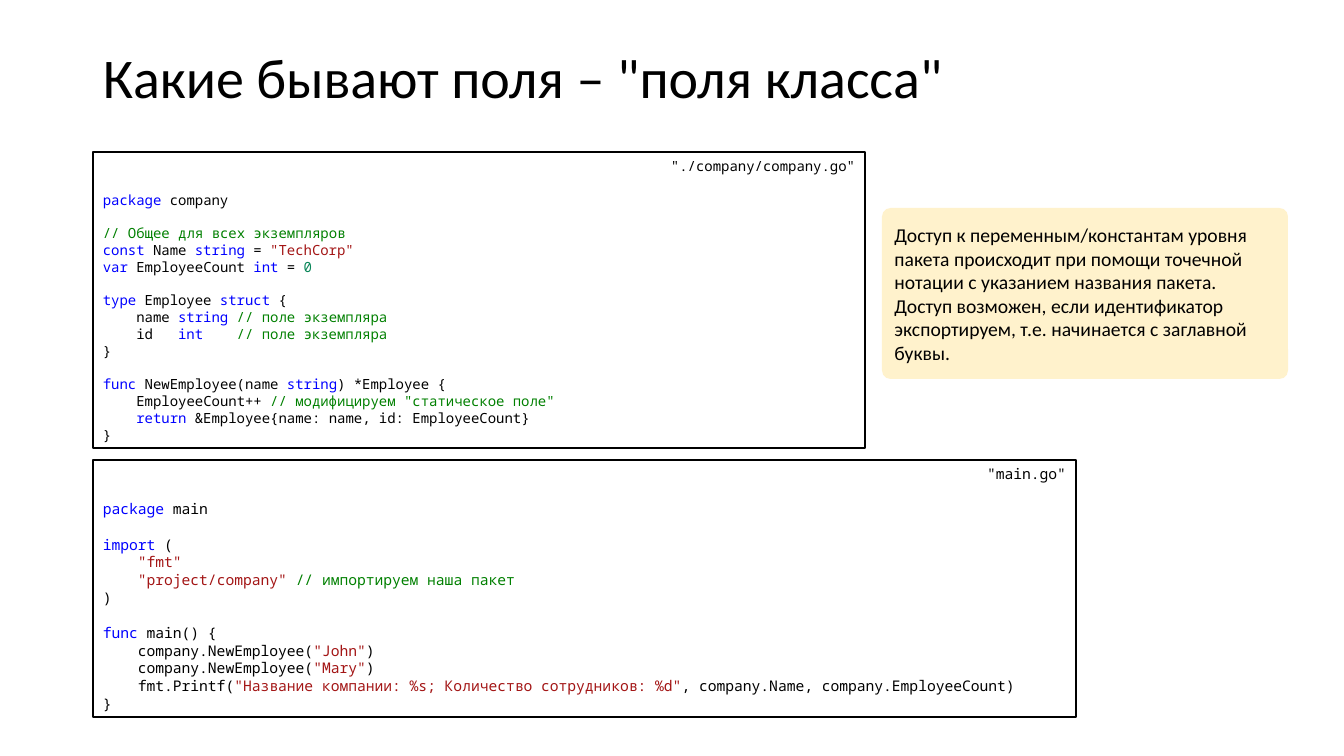
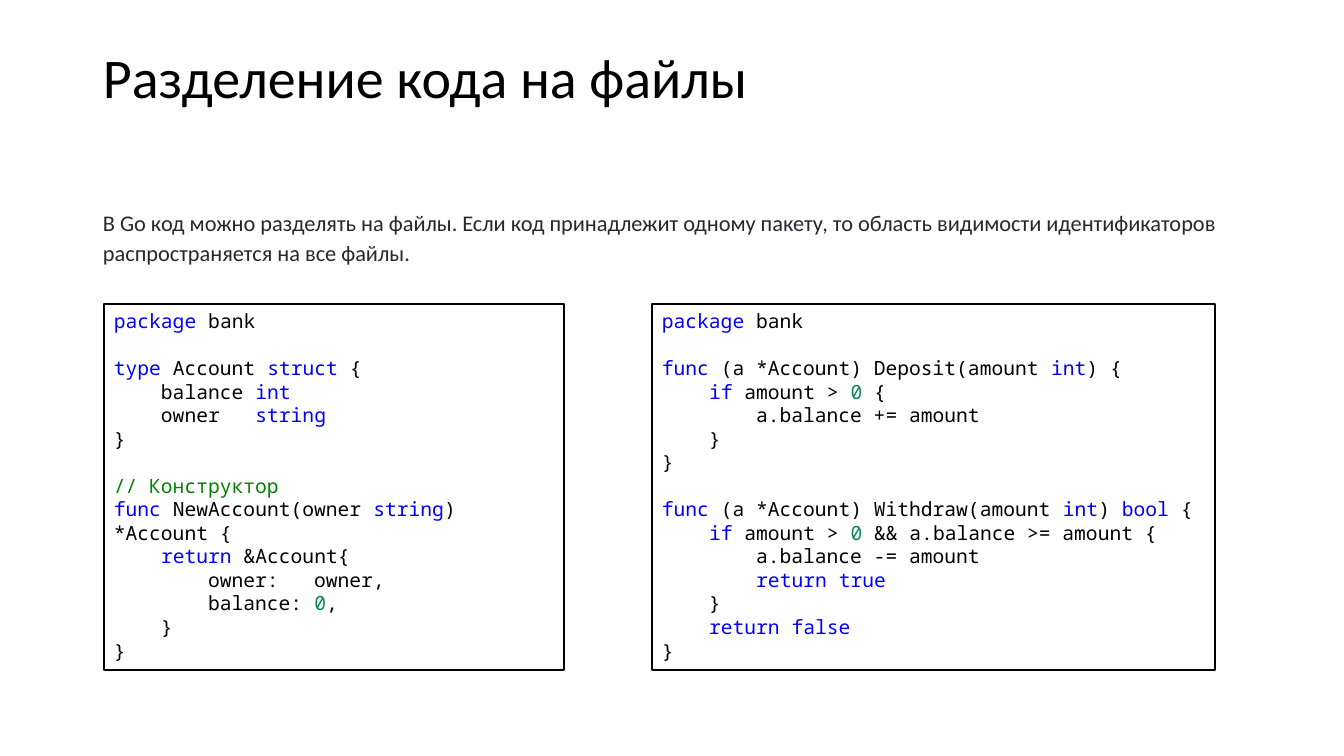
import itertools
import pptx
import pptx.dml.color
import pptx.enum.shapes
import pptx.enum.text
import pptx.util

EMU_PER_PX = 914400 / 100.8
BODY_FONT = "Calibri"
CODE_FONT = "Noto Sans Mono"
CODE_LINE_HEIGHT = 1.2
BLACK = "000000"
WHITE = "FFFFFF"
BODY_COLOR = "24292F"
NOTE_FILL = "FFF2CC"
KEYWORD_COLOR = "0000FF"
STRING_COLOR = "A31515"
NUMBER_COLOR = "098658"
COMMENT_COLOR = "008000"
KEYWORDS = set("package import const var type struct func return if string int bool true false".split())

TITLE_BOX = (93, 40, 1159, 80)
INTRO_BOX = (93, 202, 1159, 80)

COMPANY_CODE = '''package company

// Общее для всех экземпляров
const Name string = "TechCorp"
var EmployeeCount int = 0

type Employee struct {
    name string // поле экземпляра
    id   int    // поле экземпляра
}

func NewEmployee(name string) *Employee {
    EmployeeCount++ // модифицируем "статическое поле"
    return &Employee{name: name, id: EmployeeCount}
}'''

MAIN_CODE = '''package main

import (
    "fmt"
    "project/company" // импортируем наша пакет
)

func main() {
    company.NewEmployee("John")
    company.NewEmployee("Mary")
    fmt.Printf("Название компании: %s; Количество сотрудников: %d", company.Name, company.EmployeeCount)
}'''

ACCOUNT_CODE = '''package bank

type Account struct {
    balance int
    owner   string
}

// Конструктор
func NewAccount(owner string) *Account {
    return &Account{
        owner:   owner,
        balance: 0,
    }
}'''

OPERATIONS_CODE = '''package bank

func (a *Account) Deposit(amount int) {
    if amount > 0 {
        a.balance += amount
    }
}

func (a *Account) Withdraw(amount int) bool {
    if amount > 0 && a.balance >= amount {
        a.balance -= amount
        return true
    }
    return false
}'''

ACCESS_NOTE = [
    "Доступ к переменным/константам уровня пакета происходит при помощи точечной нотации "
    "с указанием названия пакета.",
    "Доступ возможен, если идентификатор экспортируем, т.е. начинается с заглавной буквы.",
]
FILES_INTRO = (
    "В Go код можно разделять на файлы. Если код принадлежит одному пакету, "
    "то область видимости идентификаторов распространяется на все файлы."
)


def rgb(hex_color):
    """Turn a hex string into a colour."""
    return pptx.dml.color.RGBColor.from_string(hex_color)


def emu(box):
    """Turn a box in px into EMU lengths."""
    return [pptx.util.Emu(round(length * EMU_PER_PX)) for length in box]


def style(run, font, size, color):
    """Set the font, size and colour of a run."""
    run.font.name = font
    run.font.size = pptx.util.Pt(size)
    run.font.color.rgb = rgb(color)


def add_text(slide, box, text, size, color, line_spacing, anchor):
    """Place one wrapped paragraph in a text box."""
    frame = slide.shapes.add_textbox(*emu(box)).text_frame
    frame.word_wrap = True
    frame.vertical_anchor = anchor
    frame.text = text
    frame.paragraphs[0].line_spacing = line_spacing
    style(frame.paragraphs[0].runs[0], BODY_FONT, size, color)


def add_panel(slide, kind, box, fill, anchor):
    """Place a flat filled shape that holds wrapped text."""
    panel = slide.shapes.add_shape(kind, *emu(box))
    panel.shadow.inherit = False
    panel.fill.solid()
    panel.fill.fore_color.rgb = rgb(fill)
    panel.line.fill.background()
    panel.text_frame.word_wrap = True
    panel.text_frame.vertical_anchor = anchor
    return panel


def add_note(slide, box, lines):
    """Place a rounded note with one paragraph per line."""
    note = add_panel(slide, pptx.enum.shapes.MSO_SHAPE.ROUNDED_RECTANGLE, box, NOTE_FILL,
                     pptx.enum.text.MSO_ANCHOR.MIDDLE)
    note.adjustments[0] = 0.05
    note.text_frame.text = "\n".join(lines)
    for paragraph in note.text_frame.paragraphs:
        paragraph.alignment = pptx.enum.text.PP_ALIGN.LEFT
        style(paragraph.runs[0], BODY_FONT, 14, BLACK)


def word_color(word):
    """Choose the colour of a word outside strings and comments."""
    if word in KEYWORDS:
        return KEYWORD_COLOR
    return NUMBER_COLOR if word.isdigit() else BLACK


def highlight(line):
    """Split a line of Go into pairs of colour and text."""
    code, slashes, comment = line.partition("//")
    tokens = []
    for index, part in enumerate(code.split('"')):
        if index % 2:
            tokens.append((STRING_COLOR, f'"{part}"'))
        else:
            words = ("".join(chars) for _, chars in itertools.groupby(part, str.isalnum))
            tokens.extend((word_color(word), word) for word in words)
    if slashes:
        tokens.append((COMMENT_COLOR, slashes + comment))
    for color, group in itertools.groupby(tokens, lambda token: token[0]):
        yield color, "".join(text for _, text in group)


def add_code(slide, box, code, size, file_name=None):
    """Place a framed listing, with its file name at the top right if given."""
    anchor = pptx.enum.text.MSO_ANCHOR.BOTTOM if file_name else pptx.enum.text.MSO_ANCHOR.TOP
    listing = add_panel(slide, pptx.enum.shapes.MSO_SHAPE.RECTANGLE, box, WHITE, anchor)
    listing.line.color.rgb = rgb(BLACK)
    listing.line.width = pptx.util.Pt(1)
    frame = listing.text_frame
    line_height = pptx.util.Pt(size * CODE_LINE_HEIGHT)
    paragraph = frame.paragraphs[0]
    if file_name:
        paragraph.text = file_name
        paragraph.alignment = pptx.enum.text.PP_ALIGN.RIGHT
        paragraph.line_spacing = line_height
        style(paragraph.runs[0], CODE_FONT, size, BLACK)
        paragraph = frame.add_paragraph()
    for index, block in enumerate(code.split("\n\n")):
        for row, line in enumerate(block.split("\n")):
            if index or row:
                paragraph = frame.add_paragraph()
            paragraph.alignment = pptx.enum.text.PP_ALIGN.LEFT
            paragraph.line_spacing = line_height
            if row == 0 and (index or file_name):
                paragraph.space_before = line_height
            for color, text in highlight(line):
                run = paragraph.add_run()
                run.text = text
                style(run, CODE_FONT, size, color)


def add_titled_slide(deck, title):
    """Add a blank slide with the shared title."""
    slide = deck.slides.add_slide(deck.slide_layouts[6])
    add_text(slide, TITLE_BOX, title, 40, BLACK, 0.9, pptx.enum.text.MSO_ANCHOR.MIDDLE)
    return slide


def build_class_fields(deck):
    """Build the slide on package-level fields."""
    slide = add_titled_slide(deck, 'Какие бывают поля – "поля класса"')
    add_note(slide, (882, 208, 406, 171), ACCESS_NOTE)
    add_code(slide, (93, 152, 772, 296), COMPANY_CODE, 10, '"./company/company.go"')
    add_code(slide, (93, 460, 983, 257), MAIN_CODE, 10.5, '"main.go"')


def build_code_files(deck):
    """Build the slide on splitting code into files."""
    slide = add_titled_slide(deck, "Разделение кода на файлы")
    add_text(slide, INTRO_BOX, FILES_INTRO, 16, BODY_COLOR, 1.1, pptx.enum.text.MSO_ANCHOR.TOP)
    for left, width, code in ((104, 460, ACCOUNT_CODE), (652, 563, OPERATIONS_CODE)):
        add_code(slide, (left, 304, width, 366), code, 14)


def main():
    """Build and save the deck."""
    deck = pptx.Presentation()
    deck.slide_width, deck.slide_height = emu((1344, 756))
    build_class_fields(deck)
    build_code_files(deck)
    deck.save("out.pptx")


if __name__ == "__main__":
    main()
